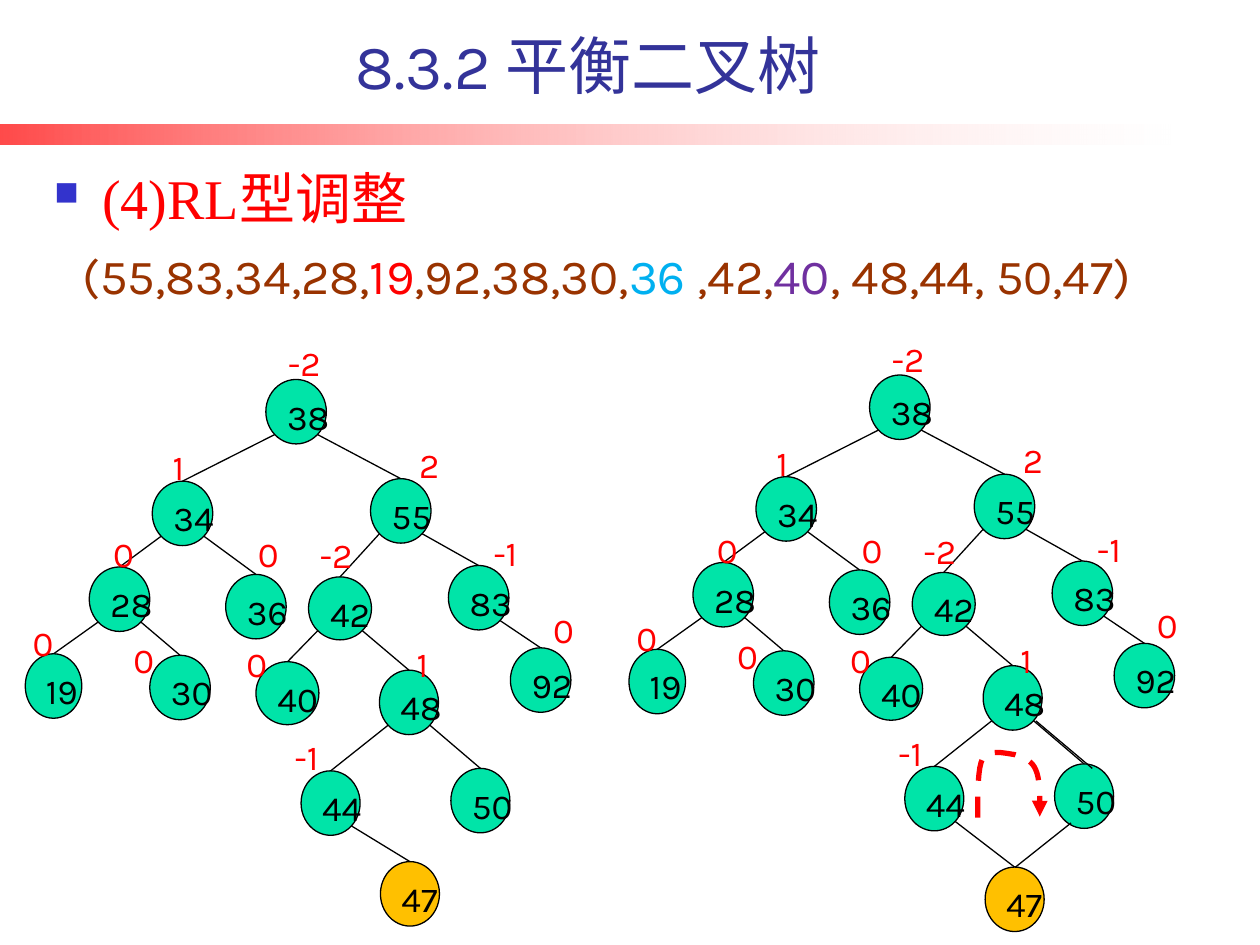
from dataclasses import dataclass
from typing import Optional

from lxml import etree
from pptx import Presentation
from pptx import util as u
from pptx.dml.color import RGBColor
from pptx.enum import dml, shapes, text
from pptx.oxml.ns import qn

RED = RGBColor(0xFF, 0x00, 0x00)
WHITE = RGBColor(0xFF, 0xFF, 0xFF)
BLACK = RGBColor(0x00, 0x00, 0x00)
NAVY = RGBColor(0x33, 0x33, 0x99)
BROWN = RGBColor(0x99, 0x33, 0x00)
CYAN = RGBColor(0x00, 0xB0, 0xF0)
PURPLE = RGBColor(0x70, 0x30, 0xA0)
GREEN = RGBColor(0x00, 0xE4, 0xA8)
AMBER = RGBColor(0xFF, 0xC0, 0x00)

TITLE = {"size": u.Pt(36), "name": "Karla"}
HEADING = {"size": u.Pt(32), "name": "Times New Roman"}
SEQUENCE = {"size": u.Pt(28), "name": "Karla"}
TREE = {"size": u.Pt(20), "name": "Karla"}

NODE_H = 1.3
CORNER = 0.146  # distance of an ellipse's diagonal points from its box, as a share


@dataclass(frozen=True)
class Node:
    key: str
    x: float
    y: float
    w: float = 1.22
    parent: Optional[str] = None
    side: str = "L"
    h: float = NODE_H
    fill: RGBColor = GREEN


@dataclass(frozen=True)
class Balance:
    value: str
    x: float
    y: float
    w: float = 0.71


NODES = [
    Node("38", 5.36, 7.65),
    Node("34", 3.07, 9.7, parent="38"),
    Node("55", 7.47, 9.65, parent="38", side="R"),
    Node("28", 1.8, 11.43, parent="34"),
    Node("36", 4.55, 11.58, parent="34", side="R"),
    Node("42", 6.22, 11.63, 1.27, "55", h=1.27),
    Node("83", 9.04, 11.4, parent="55", side="R"),
    Node("19", 0.51, 13.18, 1.14, "28"),
    Node("30", 3.02, 13.21, parent="28", side="R"),
    Node("40", 5.16, 13.34, 1.27, "42", h=1.27),
    Node("92", 10.29, 13.06, parent="83", side="R"),
    Node("48", 7.65, 13.51, 1.19, "42", "R"),
    Node("44", 6.07, 15.54, 1.19, "48"),
    Node("50", 9.09, 15.49, 1.19, "48", "R"),
]
LEFT_LEAF = Node("47", 7.67, 17.37, 1.19, "44", "R", fill=AMBER)
RIGHT_LEAF = Node("47", 7.69, 17.57, 1.19, "44", "R", fill=AMBER)

BALANCES = [
    Balance("-2", 5.56, 6.76, 1.19),
    Balance("1", 3.23, 8.86, 0.81),
    Balance("2", 8.2, 8.81),
    Balance("0", 2.03, 10.62),
    Balance("0", 4.95, 10.62),
    Balance("-2", 6.2, 10.64, 1.22),
    Balance("-1", 9.7, 10.59, 1.17),
    Balance("0", 0.41, 12.4, 0.89),
    Balance("0", 2.44, 12.75, 0.89),
    Balance("0", 4.72, 12.83, 0.81),
    Balance("0", 10.9, 12.14),
    Balance("1", 8.15, 12.83),
    Balance("-1", 5.69, 14.71, 1.22),
]


def add_run(p, words: str, color: RGBColor, style: dict) -> None:
    r = p.add_run()
    r.text = words
    for name, value in style.items():
        setattr(r.font, name, value)
    r.font.color.rgb = color


def add_text(s, x: float, y: float, w: float, h: float, runs: list, style: dict,
             anchor=text.MSO_ANCHOR.TOP):
    tf = s.shapes.add_textbox(u.Cm(x), u.Cm(y), u.Cm(w), u.Cm(h)).text_frame
    tf.word_wrap = True
    tf.vertical_anchor = anchor
    p = tf.paragraphs[0]
    for words, color in runs:
        add_run(p, words, color, style)
    return p


def add_edge(s, x1: float, y1: float, x2: float, y2: float) -> None:
    line = s.shapes.add_connector(shapes.MSO_CONNECTOR.STRAIGHT,
                                  u.Cm(x1), u.Cm(y1), u.Cm(x2), u.Cm(y2))
    line.line.color.rgb = BLACK
    line.line.width = u.Pt(0.75)
    etree.SubElement(line._element.spPr, qn("a:effectLst"))


def add_node(s, node: Node, dx: float, dy: float) -> None:
    sp = s.shapes.add_shape(shapes.MSO_SHAPE.OVAL, u.Cm(node.x + dx), u.Cm(node.y + dy),
                            u.Cm(node.w), u.Cm(node.h))
    sp.shadow.inherit = False
    sp.fill.solid()
    sp.fill.fore_color.rgb = node.fill
    sp.line.color.rgb = BLACK
    sp.line.width = u.Pt(0.75)
    tf = sp.text_frame
    tf.word_wrap = False
    tf.vertical_anchor = text.MSO_ANCHOR.TOP
    p = tf.paragraphs[0]
    p.alignment = text.PP_ALIGN.LEFT
    add_run(p, node.key, BLACK, TREE)


def add_tree(s, nodes: list[Node], dx: float = 0, dy: float = 0) -> None:
    by_key = {node.key: node for node in nodes}
    for node in nodes:
        if node.parent:
            top = by_key[node.parent]
            share = CORNER if node.side == "L" else 1 - CORNER
            add_edge(s, top.x + share * top.w + dx, top.y + (1 - CORNER) * top.h + dy,
                     node.x + node.w / 2 + dx, node.y + dy)
    for node in nodes:
        add_node(s, node, dx, dy)
    for b in BALANCES:
        add_text(s, b.x + dx, b.y + dy, b.w, 1.12, [(b.value, RED)], TREE)


def add_rotation_arrow(s, start: tuple, curves: list[tuple], steps: int = 10) -> None:
    points, p0 = [], start
    for p1, p2, p3 in curves:
        for t in (i / steps for i in range(1, steps + 1)):
            points.append(tuple(
                u.Cm((1 - t) ** 3 * a + 3 * t * (1 - t) ** 2 * b + 3 * t * t * (1 - t) * c + t ** 3 * d)
                for a, b, c, d in zip(p0, p1, p2, p3)))
        p0 = p3
    outline = s.shapes.build_freeform(u.Cm(start[0]), u.Cm(start[1]))
    outline.add_line_segments(points, close=False)
    sp = outline.convert_to_shape()
    sp.shadow.inherit = False
    sp.fill.background()
    sp.line.color.rgb = RED
    sp.line.width = u.Pt(3)
    sp.line.dash_style = dml.MSO_LINE.DASH
    etree.SubElement(sp.line._get_or_add_ln(), qn("a:tailEnd"), type="triangle")


def add_bar(s) -> None:
    sp = s.shapes.add_shape(shapes.MSO_SHAPE.RECTANGLE, 0, u.Cm(2.51), u.Cm(23.6), u.Cm(0.41))
    sp.shadow.inherit = False
    sp.line.fill.background()
    sp.fill.gradient()
    sp.fill.gradient_angle = 0
    for stop, color in zip(sp.fill.gradient_stops, (RED, WHITE)):
        stop.color.rgb = color
    for clr, alpha in zip(sp._element.spPr.iter(qn("a:srgbClr")), ("71000", "18000")):
        etree.SubElement(clr, qn("a:alpha"), val=alpha)


def add_bullet(p) -> None:
    pPr = p._p.get_or_add_pPr()
    pPr.set("marL", str(u.Cm(0.97)))
    pPr.set("indent", str(-u.Cm(0.97)))
    clr = etree.SubElement(pPr, qn("a:buClr"))
    etree.SubElement(clr, qn("a:srgbClr"), val="3333CC")
    etree.SubElement(pPr, qn("a:buSzPct"), val="60000")
    etree.SubElement(pPr, qn("a:buChar"), char="■")


def main() -> None:
    prs = Presentation()
    prs.slide_width, prs.slide_height = u.Cm(25.4), u.Cm(19.05)
    s = prs.slides.add_slide(prs.slide_layouts[6])

    # Title, bar and heading
    add_bar(s)
    p = add_text(s, 1.04, 0.38, 21.64, 1.8, [("8.3.2 平衡二叉树", NAVY)], TITLE,
                 text.MSO_ANCHOR.BOTTOM)
    p.alignment = text.PP_ALIGN.CENTER
    p = add_text(s, 0.84, 3.15, 8.26, 1.63, [("(4)RL型调整", RED)], HEADING,
                 text.MSO_ANCHOR.BOTTOM)
    add_bullet(p)

    # Insertion sequence
    add_text(s, 1.42, 4.83, 23.06, 1.75, [
        ("(55,83,34,28,", BROWN), ("19", RED), (",92,38,30,", BROWN), ("36", CYAN),
        (" ,42,", BROWN), ("40", PURPLE), (", 48,44, 50,47)", BROWN)], SEQUENCE)

    # Tree before and during the rotation
    add_tree(s, NODES + [LEFT_LEAF])
    add_tree(s, NODES + [RIGHT_LEAF], 12.17, -0.09)
    add_edge(s, 20.47, 17.48, 21.59, 16.59)
    add_edge(s, 20.88, 14.53, 22.02, 15.49)
    add_rotation_arrow(s, (19.71, 16.48), [
        ((19.71, 16.28), (19.69, 15.49), (19.81, 15.29)),
        ((19.94, 15.09), (20.27, 15.19), (20.45, 15.21)),
        ((20.62, 15.27), (20.8, 15.32), (20.88, 15.52)),
        ((20.98, 15.72), (20.96, 16.26), (20.96, 16.46))])

    prs.save("out.pptx")


if __name__ == "__main__":
    main()
